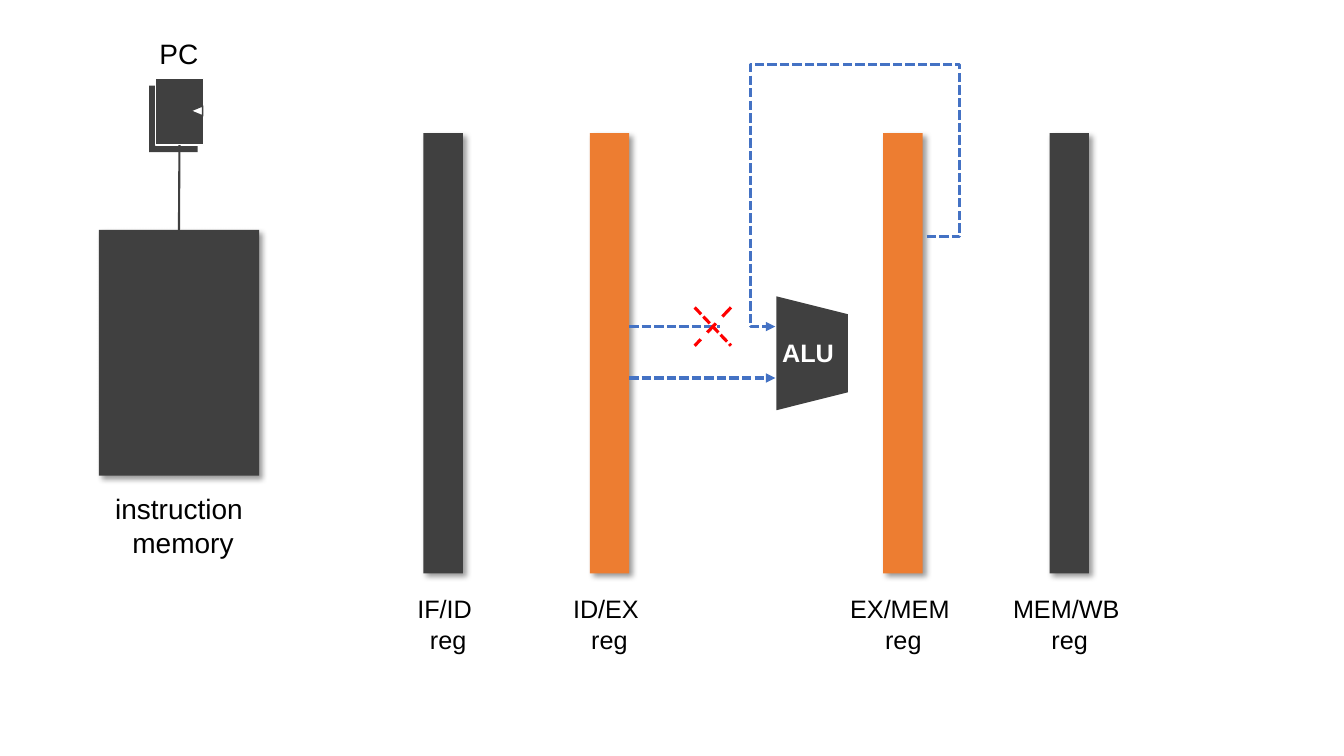
"""Draw a pipeline datapath that forwards the EX/MEM result back to the ALU."""
import pptx
import pptx.dml.color
import pptx.enum.dml
import pptx.enum.shapes
import pptx.enum.text
import pptx.oxml
import pptx.oxml.ns
import pptx.util

DARK, ORANGE, BLUE, RED = "404040", "ED7D31", "4472C4", "FF0000"
WHITE, BLACK = "FFFFFF", "000000"
SHAPES = pptx.enum.shapes.MSO_SHAPE
STRAIGHT = pptx.enum.shapes.MSO_CONNECTOR.STRAIGHT
DASH = pptx.enum.dml.MSO_LINE.DASH
SHORT_DASH = pptx.enum.dml.MSO_LINE.SQUARE_DOT
ALIGN = pptx.enum.text.PP_ALIGN
SHADOW = (
    '<a:outerShdw blurRad="50800" dist="38100" dir="2700000" algn="tl" rotWithShape="0">'
    '<a:prstClr val="black"><a:alpha val="40000"/></a:prstClr></a:outerShdw>'
)

deck = pptx.Presentation()
deck.slide_width = pptx.util.Inches(13.33)
deck.slide_height = pptx.util.Inches(7.5)
page = deck.slides.add_slide(deck.slide_layouts[6])
column = deck.slide_width // 1333
row = deck.slide_height // 750


def paint(shape, fill=None, line=None, width=1, dash=None, arrow=False, shadow=False):
    if fill:
        shape.fill.solid()
        shape.fill.fore_color.rgb = pptx.dml.color.RGBColor.from_string(fill)
    if line:
        shape.line.color.rgb = pptx.dml.color.RGBColor.from_string(line)
        shape.line.width = pptx.util.Pt(width)
    else:
        shape.line.fill.background()
    if dash:
        shape.line.dash_style = dash
    properties = shape.element.spPr
    namespace = pptx.oxml.ns.nsdecls("a")
    if arrow:
        tail = pptx.oxml.parse_xml(f'<a:tailEnd {namespace} type="triangle"/>')
        properties.find(pptx.oxml.ns.qn("a:ln")).append(tail)
    effects = f"<a:effectLst {namespace}>{SHADOW if shadow else ''}</a:effectLst>"
    properties.append(pptx.oxml.parse_xml(effects))


def write(text, left, top, width, height, size=18, color=BLACK, bold=False, align=ALIGN.CENTER):
    box = page.shapes.add_textbox(left * column, top * row, width * column, height * row)
    frame = box.text_frame
    frame.word_wrap = True
    frame.text = text
    for para in frame.paragraphs:
        para.alignment = align
        for span in para.runs:
            span.font.name = "Arial"
            span.font.size = pptx.util.Pt(size)
            span.font.bold = bold
            span.font.color.rgb = pptx.dml.color.RGBColor.from_string(color)


registers = [
    ("IF/ID ", 420, DARK, 363, 163),
    ("ID/EX ", 585, ORANGE, 523, 163),
    ("EX/MEM ", 876, ORANGE, 788, 216),
    ("MEM/WB ", 1041, DARK, 953, 216),
]
for name, left, color, label_left, label_width in registers:
    register = page.shapes.add_shape(
        SHAPES.RECTANGLE, left * column, 132 * row, 39 * column, 437 * row)
    paint(register, fill=color, shadow=True)
    write(name + "\nreg", label_left, 584, label_width, 71)

memory = page.shapes.add_shape(SHAPES.RECTANGLE, 98 * column, 228 * row, 159 * column, 244 * row)
paint(memory, fill=DARK, shadow=True)
write("instruction \nmemory", 100, 483, 163, 77, size=20)

counter_back = page.shapes.add_shape(SHAPES.RECTANGLE, 148 * column, 85 * row, 48 * column, 66 * row)
paint(counter_back, fill=DARK)
counter = page.shapes.add_shape(SHAPES.RECTANGLE, 154 * column, 78 * row, 48 * column, 66 * row)
paint(counter, fill=DARK, line=WHITE)
clock = page.shapes.add_shape(
    SHAPES.ISOSCELES_TRIANGLE, 190 * column, 104 * row, 10 * column, 12 * row)
clock.rotation = 270
paint(clock, fill=WHITE, line=DARK)
write("PC", 96, 31, 163, 44, size=20)

address = page.shapes.add_connector(STRAIGHT, 178 * column, 144 * row, 178 * column, 228 * row)
address.begin_connect(counter, 2)
address.end_connect(memory, 0)
paint(address, line=DARK, width=1.5)

alu = page.shapes.add_shape(SHAPES.TRAPEZOID, 749 * column, 315 * row, 113 * column, 71 * row)
alu.rotation = 90
paint(alu, fill=DARK)

corners = [(919, 235), (952, 235), (952, 64), (744, 64), (744, 324), (769, 324)]
points = [(across * column, down * row) for across, down in corners]
builder = page.shapes.build_freeform(*points[0])
builder.add_line_segments(points[1:], close=False)
forwarding = builder.convert_to_shape()
forwarding.fill.background()
paint(forwarding, line=BLUE, width=2.25, dash=SHORT_DASH, arrow=True)

wires = [
    (624, 324, 714, 324, BLUE, SHORT_DASH, False),
    (624, 375, 769, 375, BLUE, SHORT_DASH, True),
    (689, 305, 725, 343, RED, SHORT_DASH, False),
    (725, 305, 689, 343, RED, DASH, False),
]
for left, top, right, bottom, color, dash, arrow in wires:
    wire = page.shapes.add_connector(
        STRAIGHT, left * column, top * row, right * column, bottom * row)
    paint(wire, line=color, width=2.25, dash=dash, arrow=arrow)

write("ALU", 766, 330, 84, 40, color=WHITE, bold=True, align=ALIGN.LEFT)

deck.save("out.pptx")
